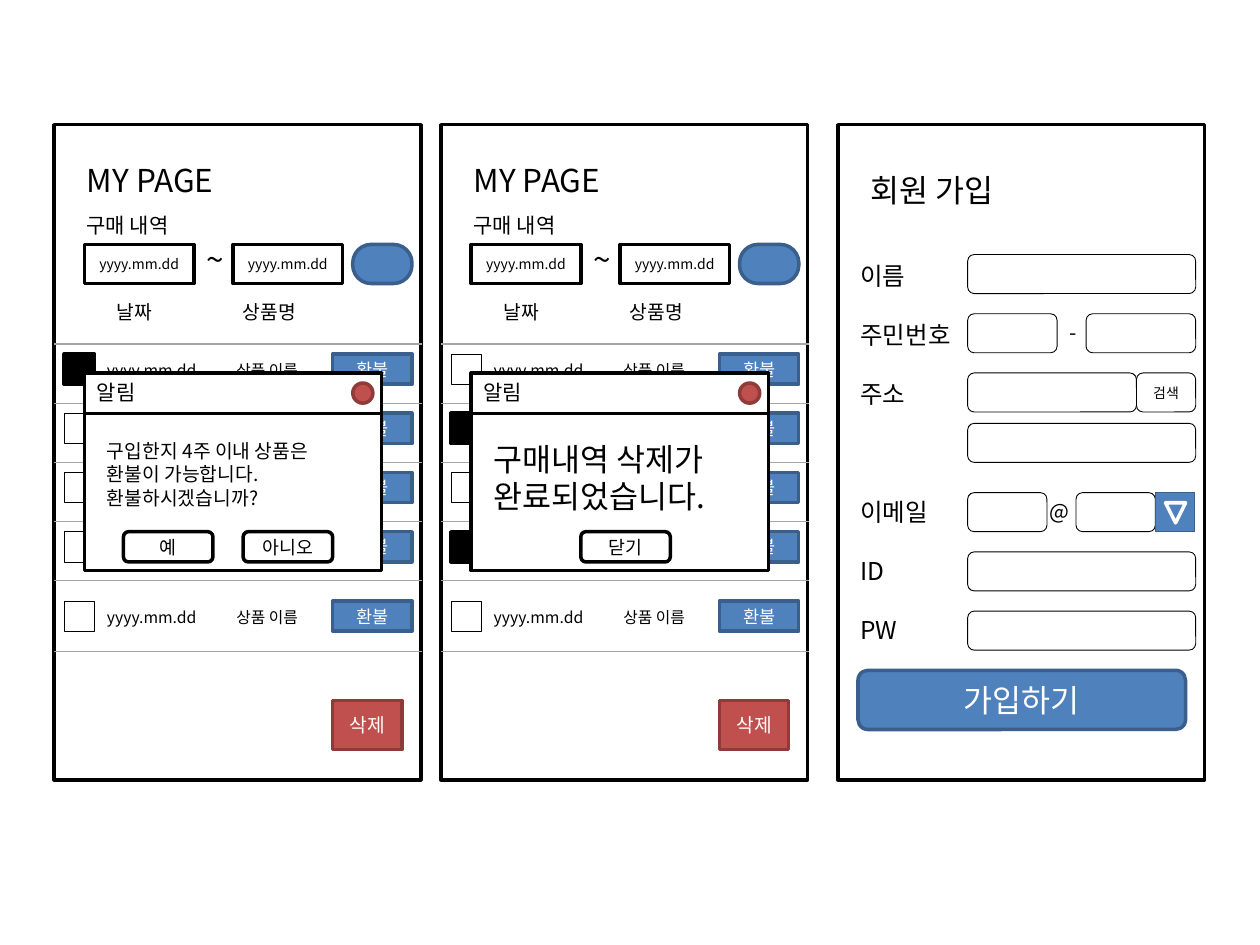
"""Build a slide with three mobile wireframes: two purchase histories and a sign-up form."""
from lxml import etree
from pptx import Presentation
from pptx.dml.color import RGBColor
from pptx.enum.shapes import MSO_CONNECTOR, MSO_SHAPE
from pptx.enum.text import MSO_ANCHOR, MSO_AUTO_SIZE, PP_ALIGN
from pptx.oxml.ns import qn
from pptx.util import Inches, Pt

RECTANGLE = MSO_SHAPE.RECTANGLE
ROUNDED = MSO_SHAPE.ROUNDED_RECTANGLE
OVAL = MSO_SHAPE.OVAL
TRIANGLE = MSO_SHAPE.ISOSCELES_TRIANGLE
STRAIGHT = MSO_CONNECTOR.STRAIGHT
CENTER = PP_ALIGN.CENTER
MIDDLE = MSO_ANCHOR.MIDDLE
FIT_SHAPE = MSO_AUTO_SIZE.SHAPE_TO_FIT_TEXT

FONT = "Noto Sans CJK KR"
BLACK = RGBColor(0x00, 0x00, 0x00)
WHITE = RGBColor(0xFF, 0xFF, 0xFF)
GRAY = RGBColor(0xA6, 0xA6, 0xA6)
BLUE = RGBColor(0x4F, 0x81, 0xBD)
DARK_BLUE = RGBColor(0x3A, 0x5F, 0x8C)
RED = RGBColor(0xC0, 0x50, 0x4D)
DARK_RED = RGBColor(0x8E, 0x3B, 0x39)

ROW_TOP = 2.81
ROW_PITCH = 0.47
ROW_TOPS = [ROW_TOP + ROW_PITCH * row for row in range(4)] + [4.77]
DIVIDER_TOPS = [2.73 + ROW_PITCH * row for row in range(5)] + [5.17]
LABEL_GAP = 16.9
FORM_LABELS = [("이름", 0), ("주민번호", LABEL_GAP), ("주소", LABEL_GAP),
               ("이메일", 3 * LABEL_GAP), ("ID", LABEL_GAP), ("PW", LABEL_GAP)]
FORM_FIELDS = [(7.68, 2.02, 1.81), (7.68, 2.49, 0.71), (8.62, 2.49, 0.87),
               (7.68, 2.96, 1.34), (7.68, 3.36, 1.81), (7.68, 3.91, 0.63),
               (8.54, 3.91, 0.63), (7.68, 4.38, 1.81), (7.68, 4.85, 1.81)]


class Wireframe:
    """Hold the style and the current slide, and draw each kind of element."""

    def __init__(self, slide):
        self.slide = slide
        self.shapes = slide.shapes

    def start_group(self):
        self.shapes = self.slide.shapes.add_group_shape().shapes

    def end_group(self):
        self.shapes = self.slide.shapes

    def styled_run(self, paragraph, text, size, color):
        run = paragraph.add_run()
        run.text = text
        run.font.size = Pt(size)
        run.font.name = FONT
        run.font.color.rgb = color
        east_asian = etree.SubElement(run._r.get_or_add_rPr(), qn("a:ea"))
        east_asian.set("typeface", FONT)

    def box(self, left, top, width, height, text="", size=10, kind=RECTANGLE,
            fill=WHITE, line=BLACK, line_width=2, color=BLACK):
        shape = self.shapes.add_shape(
            kind, Inches(left), Inches(top), Inches(width), Inches(height))
        shape.shadow.inherit = False
        shape.fill.solid()
        shape.fill.fore_color.rgb = fill
        shape.line.color.rgb = line
        shape.line.width = Pt(line_width)
        if text:
            shape.text_frame.vertical_anchor = MIDDLE
            paragraph = shape.text_frame.paragraphs[0]
            paragraph.alignment = CENTER
            self.styled_run(paragraph, text, size, color)
        return shape

    def text(self, left, top, width, height, lines, size, tab=None):
        frame = self.shapes.add_textbox(
            Inches(left), Inches(top), Inches(width), Inches(height)).text_frame
        frame.word_wrap = True
        frame.auto_size = FIT_SHAPE
        for index, (line, space_before) in enumerate(lines):
            paragraph = frame.add_paragraph() if index else frame.paragraphs[0]
            if space_before:
                paragraph.space_before = Pt(space_before)
            if tab:
                properties = paragraph._p.get_or_add_pPr()
                tab_list = etree.SubElement(properties, qn("a:tabLst"))
                stop = etree.SubElement(tab_list, qn("a:tab"))
                stop.set("pos", str(Inches(tab)))
                stop.set("algn", "l")
            self.styled_run(paragraph, line, size, BLACK)

    def label(self, left, top, width, height, text, size, tab=None):
        self.text(left, top, width, height, [(text, 0)], size, tab)

    def rule(self, left, top, width, color, line_width):
        connector = self.shapes.add_connector(
            STRAIGHT, Inches(left), Inches(top), Inches(left + width), Inches(top))
        connector.line.color.rgb = color
        connector.line.width = Pt(line_width)
        etree.SubElement(connector._element.spPr, qn("a:effectLst"))

    def screen(self, left):
        self.box(left, 0.99, 2.91, 5.2)

    def history(self, left, checked_rows):
        self.start_group()
        self.screen(left)
        self.label(left + 0.16, 1.23, 1.65, 0.4, "MY PAGE", 18)
        self.label(left + 0.16, 1.64, 1.1, 0.3, "구매 내역", 12)
        for offset in (0.24, 1.42):
            self.box(left + offset, 1.94, 0.87, 0.31, "yyyy.mm.dd", 8)
        self.label(left + 1.11, 1.86, 0.39, 0.4, "~", 18)
        search = self.box(left + 2.37, 1.94, 0.47, 0.31, kind=ROUNDED,
                          fill=BLUE, line=DARK_BLUE)
        search.adjustments[0] = 0.47
        self.label(left + 0.4, 2.33, 2.52, 0.29, "날짜\t상품명", 11, tab=1)
        for top in DIVIDER_TOPS:
            self.rule(left, top, 2.92, GRAY, 0.75)
        for row, top in enumerate(ROW_TOPS):
            checked = row in checked_rows
            if row in (0, 4):
                self.label(left + 0.32, top, 1.89, 0.25,
                           "yyyy.mm.dd \t 상품 이름", 9, tab=1)
            self.box(left + 0.08, top, 0.24, 0.24, fill=BLACK if checked else WHITE,
                     line_width=2 if checked else 0.25)
            self.box(left + 2.21, top, 0.63, 0.24, "환불", 10,
                     fill=BLUE, line=DARK_BLUE, color=WHITE)
        self.box(left + 2.21, 5.56, 0.55, 0.39, "삭제", 11,
                 fill=RED, line=DARK_RED, color=WHITE)
        self.end_group()

    def popup(self, left, lines, size, height, buttons):
        self.box(left, 2.96, 2.36, 1.57)
        self.rule(left, 3.28, 2.36, BLACK, 1.5)
        self.box(left + 2.13, 3.04, 0.16, 0.16, kind=OVAL, fill=RED, line=DARK_RED)
        self.label(left, 2.96, 1.02, 0.3, "알림", 12)
        self.text(left + 0.08, 3.44, 2.05, height, [(line, 0) for line in lines], size)
        for offset, caption in buttons:
            self.box(left + offset, 4.22, 0.71, 0.24, caption, 10.5, kind=ROUNDED)

    def sign_up_form(self):
        self.label(6.81, 1.31, 1.57, 0.4, "회원 가입", 18)
        self.text(6.73, 2.02, 1.1, 3.16, FORM_LABELS, 14)
        for left, top, width in FORM_FIELDS:
            self.box(left, top, width, 0.31, kind=ROUNDED, line_width=0.5)
        self.label(8.23, 3.91, 0.24, 0.3, "@", 12)
        self.label(8.39, 2.49, 0.24, 0.3, "-", 12)
        self.box(9.17, 3.91, 0.31, 0.31, fill=BLUE, line=DARK_BLUE, line_width=0.5)
        arrow = self.box(9.25, 3.99, 0.16, 0.16, kind=TRIANGLE, fill=BLUE, line=WHITE)
        arrow.rotation = 180
        self.box(9.02, 2.96, 0.47, 0.31, "검색", 8, kind=ROUNDED, line_width=0.5)
        self.box(6.81, 5.32, 2.6, 0.47, "가입하기", 18, kind=ROUNDED,
                 fill=BLUE, line=DARK_BLUE, color=WHITE)


def main():
    presentation = Presentation()
    presentation.slide_width = Inches(10)
    presentation.slide_height = Inches(7.5)
    wireframe = Wireframe(presentation.slides.add_slide(presentation.slide_layouts[6]))
    wireframe.screen(6.65)
    wireframe.history(0.43, checked_rows={0})
    wireframe.history(3.5, checked_rows={1, 3})
    wireframe.popup(3.74, ["구매내역 삭제가", "완료되었습니다."], 18, 0.71, [(0.87, "닫기")])
    wireframe.popup(0.67, ["구입한지 4주 이내 상품은 환불이 가능합니다. 환불하시겠습니까?"],
                    11, 0.66, [(0.31, "예"), (1.26, "아니오")])
    wireframe.sign_up_form()
    presentation.save("out.pptx")


if __name__ == "__main__":
    main()
